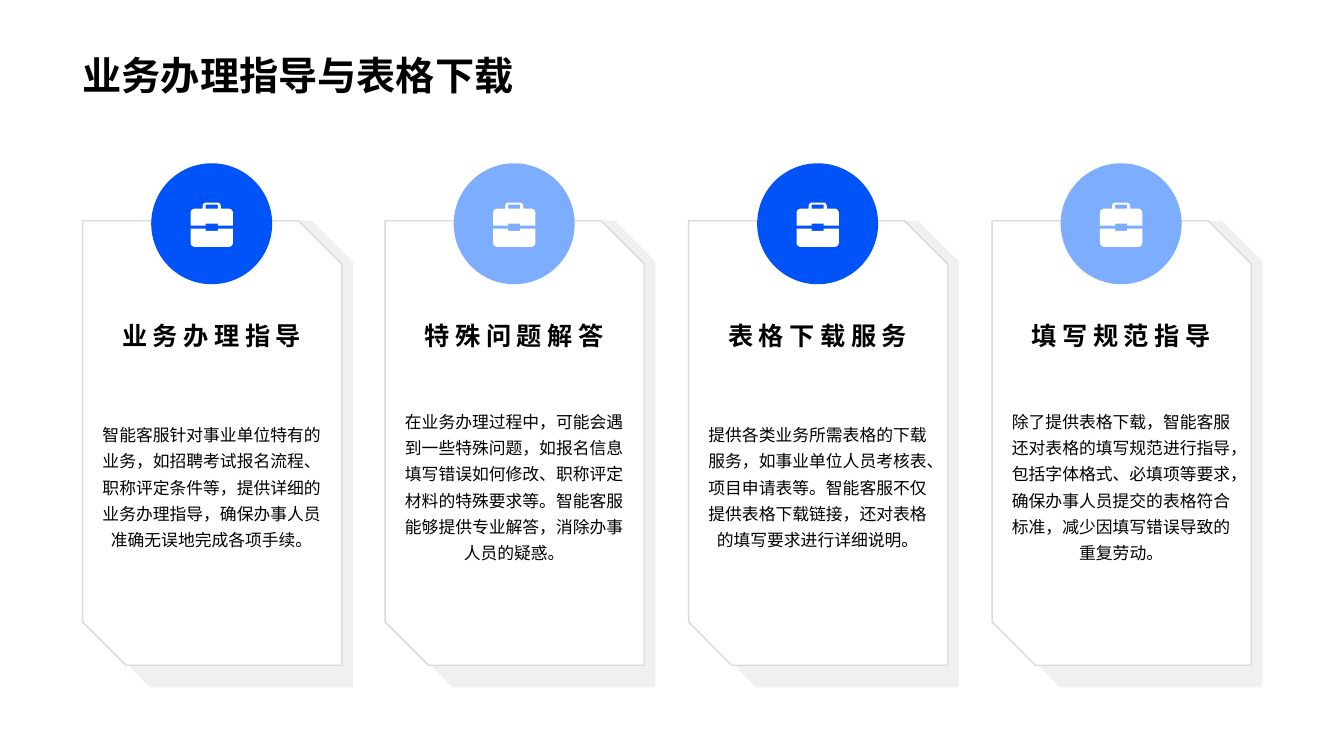
import pptx
import pptx.util
import pptx.dml.color
import pptx.enum.shapes
import pptx.enum.text
import pptx.oxml.ns
from dataclasses import dataclass
from lxml import etree

TITLE = "业务办理指导与表格下载"
CARDS = [
    ("业务办理指导", "智能客服针对事业单位特有的业务，如招聘考试报名流程、职称评定条件等，提供详细的业务办理指导，确保办事人员准确无误地完成各项手续。"),
    ("特殊问题解答", "在业务办理过程中，可能会遇到一些特殊问题，如报名信息填写错误如何修改、职称评定材料的特殊要求等。智能客服能够提供专业解答，消除办事人员的疑惑。"),
    ("表格下载服务", "提供各类业务所需表格的下载服务，如事业单位人员考核表、项目申请表等。智能客服不仅提供表格下载链接，还对表格的填写要求进行详细说明。"),
    ("填写规范指导", "除了提供表格下载，智能客服还对表格的填写规范进行指导，包括字体格式、必填项等要求，确保办事人员提交的表格符合标准，减少因填写错误导致的重复劳动。"),
]
CASE = [
    [(42, 23, 0), (27, 23, 0), (27, 21, 0), (15, 21, 0), (15, 23, 0), (0, 23, 0),
     (0, 6, 5), (12, 6, 0), (12, 0, 4), (30, 0, 4), (30, 6, 0), (42, 6, 5)],
    [(42, 26, 0), (42, 44, 5), (0, 44, 5), (0, 26, 0),
     (15, 26, 0), (15, 28, 0), (27, 28, 0), (27, 26, 0)],
    [(27, 6, 0), (27, 2, 1), (15, 2, 1), (15, 6, 0)],
]


@dataclass(frozen=True)
class Theme:
    font: str = "Noto Sans CJK JP"
    ink: str = "000000"
    paper: str = "FFFFFF"
    shade: str = "F0F0F0"
    edge: str = "D9D9D9"
    discs: tuple = ("0053F9", "7DADFF")
    title: int = 28
    head: int = 18
    body: int = 12


LOOK = Theme()
PX = 9144
WIDE, HIGH = 1333, 750
LEFT, SPAN = 82, 902
SHAPE = pptx.enum.shapes.MSO_SHAPE
ALIGN = pptx.enum.text.PP_ALIGN
ANCHOR = pptx.enum.text.MSO_ANCHOR


def emu(*sides):
    return [round(side * PX) for side in sides]


def tint(code):
    return pptx.dml.color.RGBColor.from_string(code)


def paint(shape, fill, line=None):
    shape.shadow.inherit = False
    shape.fill.solid()
    shape.fill.fore_color.rgb = tint(fill)
    if line:
        shape.line.color.rgb = tint(line)
        shape.line.width = pptx.util.Pt(1)
    else:
        shape.line.fill.background()


def write(shape, text, size, bold=False, align=ALIGN.CENTER, anchor=ANCHOR.MIDDLE,
          inset=(0, 0), lead=None, track=None):
    frame = shape.text_frame
    frame.word_wrap = True
    frame.vertical_anchor = anchor
    frame.margin_left = frame.margin_right = inset[0] * PX
    frame.margin_top = frame.margin_bottom = inset[1] * PX
    para = frame.paragraphs[0]
    para.alignment = align
    if lead:
        para.line_spacing = lead
    run = para.add_run()
    run.text = text
    font = run.font
    font.name, font.bold, font.size = LOOK.font, bold, pptx.util.Pt(size)
    font.color.rgb = tint(LOOK.ink)
    props = run._r.get_or_add_rPr()
    etree.SubElement(props, pptx.oxml.ns.qn("a:ea"), typeface=LOOK.font)
    if track:
        props.set("spc", str(track * 100))


def toward(start, end, dist):
    size = max(abs(end[0] - start[0]), abs(end[1] - start[1]))
    return [start[k] + (end[k] - start[k]) * dist / size for k in (0, 1)]


def curve(ring):
    dots = []
    for k, spot in enumerate(ring):
        x, y, bend = spot
        if not bend:
            dots.append((x, y))
            continue
        a = toward(spot, ring[k - 1], bend)
        b = toward(spot, ring[(k + 1) % len(ring)], bend)
        for step in range(9):
            t = step / 8
            dots.append([(1 - t) ** 2 * a[n] + 2 * t * (1 - t) * spot[n] + t * t * b[n]
                         for n in (0, 1)])
    return dots


def draw_case(group, left, top):
    pen = None
    for ring in CASE:
        dots = [emu(left + x, top + y) for x, y in curve(ring)]
        if pen is None:
            pen = group.shapes.build_freeform(*dots[0], scale=1.0)
        else:
            pen.move_to(*dots[0])
        pen.add_line_segments(dots[1:], close=True)
    paint(pen.convert_to_shape(), LOOK.paper)


def draw_card(slide, left, head, body, disc):
    group = slide.shapes.add_group_shape()
    for kind, box, fill, line in (
        (SHAPE.SNIP_2_DIAG_RECTANGLE, (left + 27, 219, 241, 463), LOOK.shade, None),
        (SHAPE.SNIP_2_DIAG_RECTANGLE, (left, 219, 257, 441), LOOK.paper, LOOK.edge),
        (SHAPE.OVAL, (left + 68, 162, 120, 120), disc, None),
    ):
        paint(group.shapes.add_shape(kind, *emu(*box)), fill, line)
    draw_case(group, left + 107, 201)
    write(group.shapes.add_textbox(*emu(left + 18, 316, 220, 33)), head,
          LOOK.head, bold=True, track=4)
    write(group.shapes.add_textbox(*emu(left + 18, 362, 220, 237)), body,
          LOOK.body, lead=1.3)


def main():
    deck = pptx.Presentation()
    deck.slide_width, deck.slide_height = emu(WIDE, HIGH)
    slide = deck.slides.add_slide(deck.slide_layouts[5])
    title = slide.shapes.title
    title.left, title.top, title.width, title.height = emu(72, 46, 1167, 57)
    write(title, TITLE, LOOK.title, bold=True, align=ALIGN.LEFT,
          anchor=ANCHOR.BOTTOM, inset=(10, 5))
    title.text_frame.auto_size = pptx.enum.text.MSO_AUTO_SIZE.SHAPE_TO_FIT_TEXT
    for k, (head, body) in enumerate(CARDS):
        draw_card(slide, LEFT + k * SPAN // 3, head, body, LOOK.discs[k % 2])
    deck.save("out.pptx")


if __name__ == "__main__":
    main()
